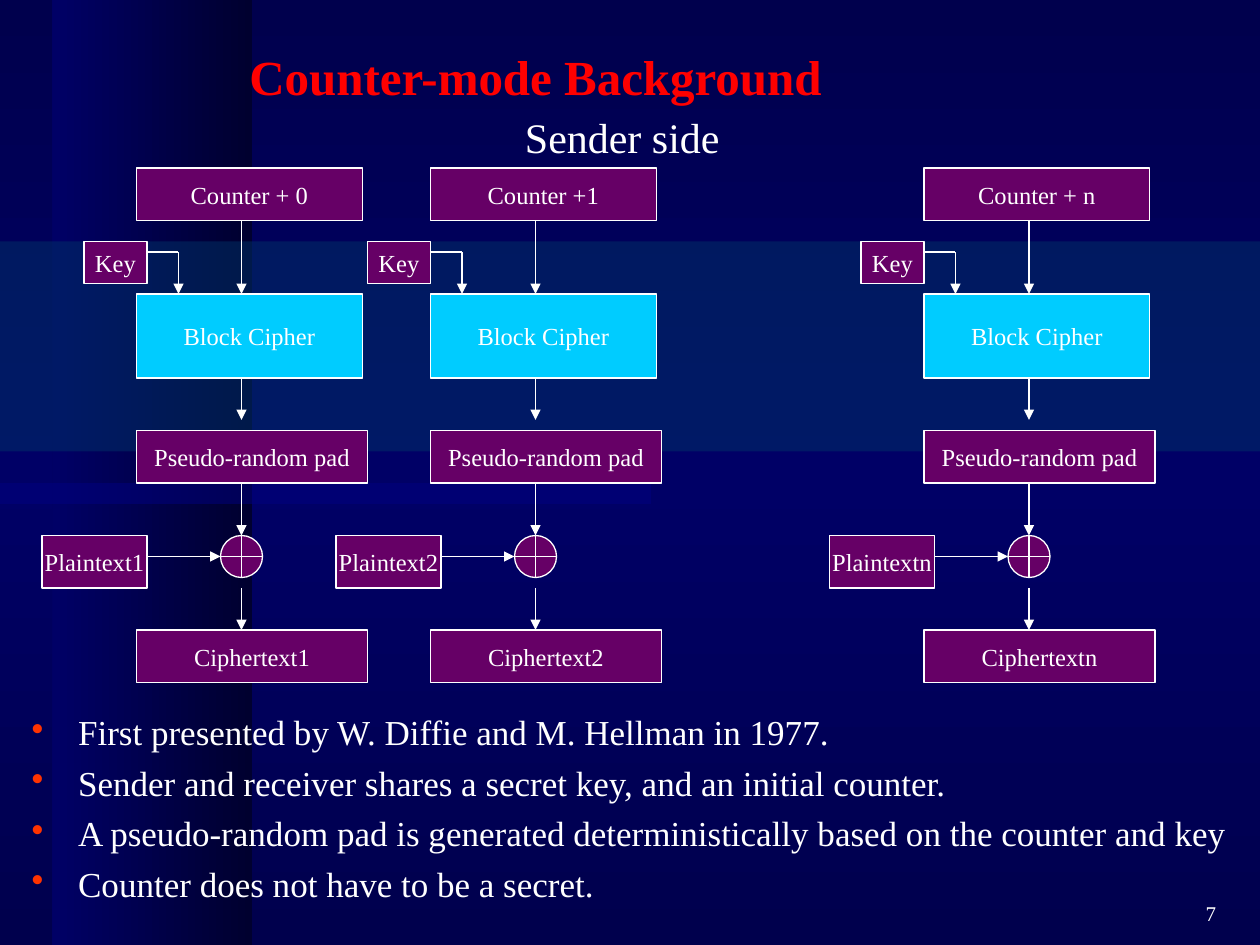
from dataclasses import dataclass
from typing import Any, NamedTuple

from lxml.etree import SubElement as Sub
from pptx import Presentation
from pptx.dml.color import RGBColor as Rgb
from pptx.enum.shapes import MSO_CONNECTOR as Link, MSO_SHAPE as Kind
from pptx.enum.text import MSO_ANCHOR as Anchor, PP_ALIGN as Align
from pptx.oxml.ns import qn
from pptx.util import Inches, Pt


@dataclass(frozen=True)
class Theme:
    """Colours, type sizes and the grid step of the slide."""
    font: str = "Times New Roman"
    white: str = "FFFFFF"
    red: str = "FF0000"
    dot: str = "FF3300"
    plum: str = "660066"
    sky: str = "00CCFF"
    night: str = "00004D"
    deep: str = "000066"
    dark: str = "00002F"
    navy: str = "000080"
    teal: str = "003366"
    title: int = 28
    head: int = 24
    body: int = 20
    label: int = 14
    small: int = 12
    line: float = 0.75
    cols: int = 120
    rows: int = 90
    step: int = Inches(10) // 120


class Area(NamedTuple):
    """A place on the grid: column, row, width, height."""
    x: float
    y: float
    w: float
    h: float


class Lane(NamedTuple):
    """One cipher chain: left column, key shift and mark of each part."""
    x: int
    shift: int
    count: str
    mark: str


class Box(NamedTuple):
    """A labelled box, placed from the left of its lane."""
    area: Area
    text: str
    fill: str


class Wire(NamedTuple):
    """A line between two grid points, placed from the left of its lane."""
    x1: float
    y1: float
    x2: float
    y2: float
    head: bool = True


T = Theme()
LANES = [Lane(13, 1, "+ 0", "1"), Lane(41, 0, "+1", "2"), Lane(88, 0, "+ n", "n")]
BULLETS = [
    "First presented by W. Diffie and M. Hellman in 1977.",
    "Sender and receiver shares a secret key, and an initial counter.",
    "A pseudo-random pad is generated deterministically based on the counter and key",
    "Counter does not have to be a secret.",
]


def put(item: Any, **values: Any) -> None:
    """Set each named value on the item."""
    for name, value in values.items():
        setattr(item, name, value)


def scale(*nums: float) -> list[int]:
    """Turn grid counts into lengths."""
    return [round(n * T.step) for n in nums]


def blend(fill: Any, root: Any, turn: int, *tones: str) -> None:
    """Fill with evenly spaced gradient stops."""
    fill.gradient()
    fill.gradient_angle = turn
    stops = next(root.iter(qn("a:gsLst")))
    for old in list(stops):
        stops.remove(old)
    for i, tone in enumerate(tones):
        stop = Sub(stops, qn("a:gs"), pos=str(100000 * i // (len(tones) - 1)))
        Sub(stop, qn("a:srgbClr"), val=tone)


def write(frame: Any, lines: list[str], size: int, tone: str = T.white,
          bold: bool = False, dots: bool = False, **style: Any) -> None:
    """Write one styled paragraph for each line."""
    for i, text in enumerate(lines):
        para = frame.add_paragraph() if i else frame.paragraphs[0]
        if dots:
            props = para._p.get_or_add_pPr()
            put_in = str(Inches(0.37))
            props.set("marL", put_in)
            props.set("indent", "-" + put_in)
            Sub(Sub(props, qn("a:buClr")), qn("a:srgbClr"), val=T.dot)
            Sub(props, qn("a:buChar"), char="•")
        put(para, **style)
        if i:
            para.space_before = Pt(6)
        run = para.add_run()
        run.text = text
        put(run.font, name=T.font, size=Pt(size), bold=bold)
        run.font.color.rgb = Rgb.from_string(tone)


def draw(slide: Any, area: Area, fill: str, kind: Kind = Kind.RECTANGLE,
         edge: bool = True) -> Any:
    """Draw a plain filled shape, with or without a white edge."""
    shape = slide.shapes.add_shape(kind, *scale(*area))
    shape.shadow.inherit = False
    shape.fill.solid()
    shape.fill.fore_color.rgb = Rgb.from_string(fill)
    if edge:
        shape.line.color.rgb = Rgb.from_string(T.white)
        shape.line.width = Pt(T.line)
    else:
        shape.line.fill.background()
    return shape


def join(slide: Any, wire: Wire, x: float) -> None:
    """Draw a line of a lane, with an arrowhead if it has one."""
    ends = scale(x + wire.x1, wire.y1, x + wire.x2, wire.y2)
    line = slide.shapes.add_connector(Link.STRAIGHT, *ends)
    line.line.color.rgb = Rgb.from_string(T.white)
    line.line.width = Pt(T.line)
    if wire.head:
        Sub(line.line._get_or_add_ln(), qn("a:tailEnd"), type="triangle")
    Sub(line.element.spPr, qn("a:effectLst"))


def note(slide: Any, area: Area, lines: list[str], size: int, pad: float = 0,
         anchor: Anchor = Anchor.TOP, **style: Any) -> None:
    """Add a free text box."""
    frame = slide.shapes.add_textbox(*scale(*area)).text_frame
    side, edge = Inches(pad), Inches(pad * 0.7)
    put(frame, word_wrap=True, vertical_anchor=anchor, margin_left=side,
        margin_right=side, margin_top=edge, margin_bottom=edge)
    write(frame, lines, size, **style)


def chain(slide: Any, lane: Lane) -> None:
    """Draw one lane from counter to ciphertext."""
    key = lane.shift
    boxes = [
        Box(Area(0, 16, 21.5, 5), f"Counter {lane.count}", T.plum),
        Box(Area(key - 6, 23, 6, 4), "Key", T.plum),
        Box(Area(0, 28, 21.5, 8), "Block Cipher", T.sky),
        Box(Area(0, 41, 22, 5), "Pseudo-random pad", T.plum),
        Box(Area(-9, 51, 10, 5), f"Plaintext{lane.mark}", T.plum),
        Box(Area(0, 60, 22, 5), f"Ciphertext{lane.mark}", T.plum),
    ]
    wires = [Wire(10, top, 10, end) for top, end in ((21, 28), (36, 40), (46, 51), (56, 60))]
    wires += [
        Wire(key, 24, key + 3, 24, False), Wire(key + 3, 24, key + 3, 28),
        Wire(1, 53, 8, 53), Wire(8, 53, 12, 53, False), Wire(10, 51, 10, 55, False),
    ]
    for box in boxes:
        frame = draw(slide, box.area._replace(x=lane.x + box.area.x), box.fill).text_frame
        put(frame, word_wrap=False, vertical_anchor=Anchor.MIDDLE)
        write(frame, [box.text], T.label, alignment=Align.CENTER)
    draw(slide, Area(lane.x + 8, 51, 4, 4), T.plum, Kind.OVAL)
    for wire in wires:
        join(slide, wire, lane.x)


def scene(slide: Any) -> None:
    """Draw the backdrop and its bands."""
    blend(slide.background.fill, slide.element, 90, T.night, T.deep, T.night)
    band = draw(slide, Area(5, 0, 19, T.rows), T.dark, edge=False)
    blend(band.fill, band.element, 180, T.dark, T.deep)
    for area, tone in ((Area(0, 46, 62, 2), T.navy), (Area(0, 23, T.cols, 20), T.teal)):
        veil = draw(slide, area, tone, edge=False)
        Sub(next(veil.element.spPr.iter(qn("a:srgbClr"))), qn("a:alpha"), val="50000")


def main() -> None:
    """Build and save the slide."""
    deck = Presentation()
    put(deck, slide_width=T.cols * T.step, slide_height=T.rows * T.step)
    slide = deck.slides.add_slide(deck.slide_layouts[6])
    scene(slide)
    note(slide, Area(0, 4, 102, 12), ["Counter-mode Background"], T.title, 0.1,
         tone=T.red, bold=True, alignment=Align.CENTER, line_spacing=0.95)
    for lane in LANES:
        chain(slide, lane)
    note(slide, Area(3, 68, 117, 18.25), BULLETS, T.body, dots=True, line_spacing=0.95)
    note(slide, Area(50, 11, 23, 4.5), ["Sender side"], T.head, line_spacing=0.95)
    note(slide, Area(92, 84, 25, 6), ["7"], T.small, 0.1, Anchor.MIDDLE,
         alignment=Align.RIGHT)
    deck.save("out.pptx")


if __name__ == "__main__":
    main()
